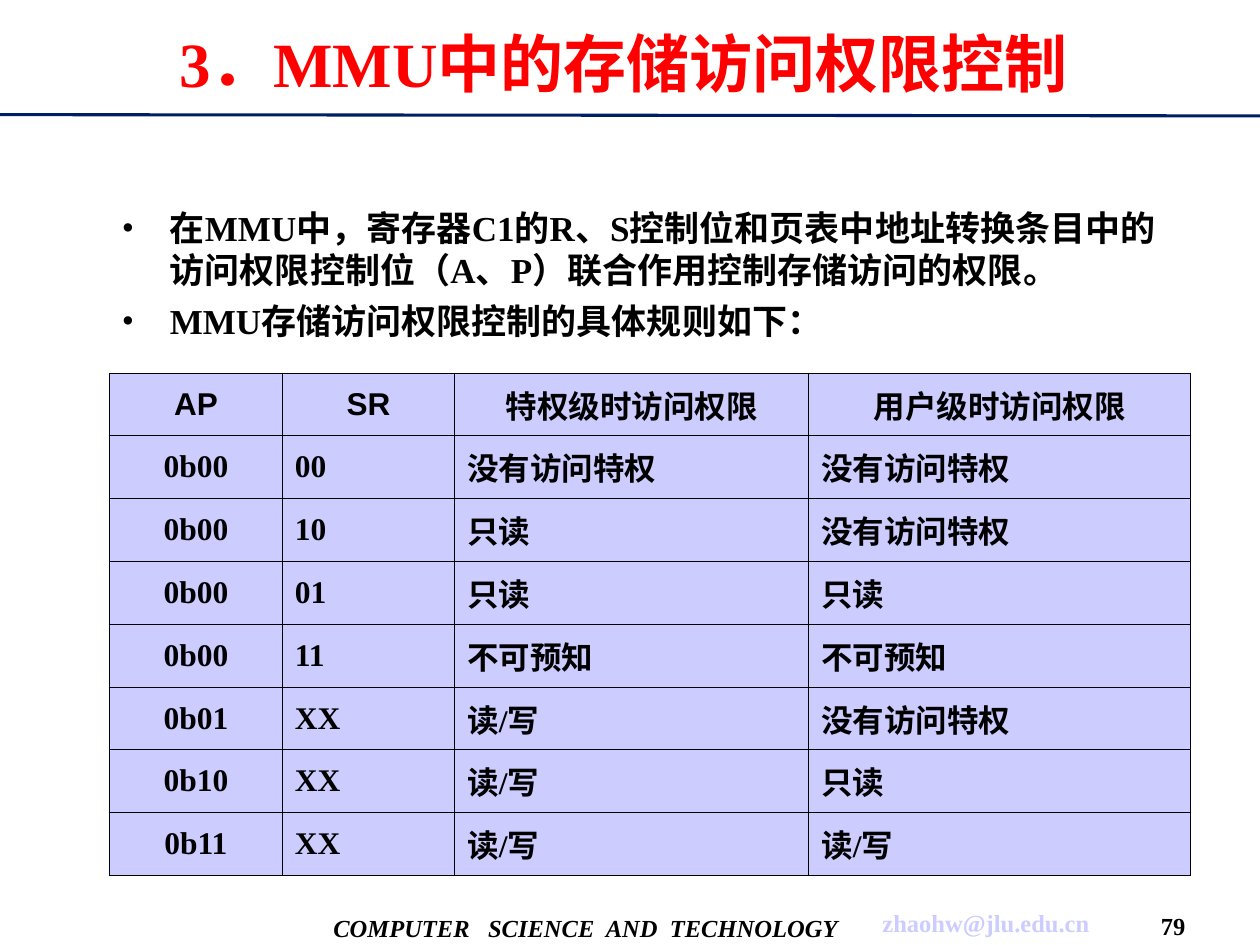
from dataclasses import dataclass

from lxml import etree
from pptx import Presentation
from pptx.dml.color import RGBColor
from pptx.enum.shapes import MSO_CONNECTOR
from pptx.enum.text import MSO_ANCHOR, MSO_AUTO_SIZE, PP_ALIGN
from pptx.oxml.ns import qn
from pptx.util import Inches, Pt

STRAIGHT = MSO_CONNECTOR.STRAIGHT
TOP, MIDDLE = MSO_ANCHOR.TOP, MSO_ANCHOR.MIDDLE
LEFT, CENTER = PP_ALIGN.LEFT, PP_ALIGN.CENTER
NO_AUTOFIT = MSO_AUTO_SIZE.NONE


@dataclass(frozen=True)
class Theme:
    """Colours, fonts and type sizes of the slide."""
    title: RGBColor = RGBColor(0xFF, 0x00, 0x00)
    text: RGBColor = RGBColor(0x00, 0x00, 0x00)
    rule: RGBColor = RGBColor(0x00, 0x1E, 0x64)
    pale: RGBColor = RGBColor(0xCC, 0xCC, 0xFF)
    serif: str = "Times New Roman"
    sans: str = "Arial"
    title_size: int = 36
    body_size: int = 20
    table_size: int = 18
    footer_size: int = 14
    rule_width: float = 1.75
    border_width: float = 0.45


THEME = Theme()

TITLE = "3．MMU中的存储访问权限控制 "
BULLETS = [
    "在MMU中，寄存器C1的R、S控制位和页表中地址转换条目中的访问权限控制位（A、P）联合作用控制存储访问的权限。",
    "MMU存储访问权限控制的具体规则如下：",
]
COLUMN_WIDTHS = [1.37, 1.37, 2.81, 3.03]
PERMISSIONS = [
    ["AP", "SR", "特权级时访问权限", "用户级时访问权限"],
    ["0b00", "00", "没有访问特权", "没有访问特权"],
    ["0b00", "10", "只读", "没有访问特权"],
    ["0b00", "01", "只读", "只读"],
    ["0b00", "11", "不可预知", "不可预知"],
    ["0b01", "XX", "读/写", "没有访问特权"],
    ["0b10", "XX", "读/写", "只读"],
    ["0b11", "XX", "读/写", "读/写"],
]
FOOTERS = [
    ("COMPUTER   SCIENCE  AND  TECHNOLOGY", (2.55, 7.15, 4.2, 0.42), THEME.text, True),
    ("zhaohw@jlu.edu.cn", (6.92, 7.14, 1.81, 0.36), THEME.pale, False),
    ("79", (9.09, 7.19, 0.44, 0.31), THEME.text, False),
]


def inches(box):
    """Turn a box of numbers into lengths."""
    return [Inches(value) for value in box]


def format_paragraph(paragraph, size, color=THEME.text, name=THEME.serif,
                     alignment=LEFT, italic=False):
    """Set the alignment and the bold font of a paragraph."""
    paragraph.alignment = alignment
    values = {"name": name, "size": Pt(size), "bold": True, "italic": italic}
    for attribute, value in values.items():
        setattr(paragraph.font, attribute, value)
    paragraph.font.color.rgb = color


def add_title(slide, box):
    """Place the title in its placeholder."""
    title = slide.shapes.title
    title.left, title.top, title.width, title.height = inches(box)
    frame = title.text_frame
    frame.text = TITLE
    frame.auto_size = NO_AUTOFIT
    frame.vertical_anchor = MIDDLE
    format_paragraph(frame.paragraphs[0], THEME.title_size, THEME.title, alignment=CENTER)


def add_rule(slide, ends):
    """Draw the line under the title."""
    rule = slide.shapes.add_connector(STRAIGHT, *inches(ends))
    rule.line.color.rgb = THEME.rule
    rule.line.width = Pt(THEME.rule_width)
    etree.SubElement(rule._element.spPr, qn("a:effectLst"))


def add_bullets(slide, box):
    """Place the bulleted introduction."""
    frame = slide.shapes.add_textbox(*inches(box)).text_frame
    frame.word_wrap = True
    frame.vertical_anchor = TOP
    frame.text = "\n".join(BULLETS)
    for index, paragraph in enumerate(frame.paragraphs):
        properties = paragraph._p.get_or_add_pPr()
        properties.set("marL", str(Inches(0.38)))
        properties.set("indent", str(Inches(-0.38)))
        etree.SubElement(properties, qn("a:buFont"), typeface=THEME.serif)
        etree.SubElement(properties, qn("a:buChar"), char="•")
        if index:
            paragraph.space_before = Pt(5)
        format_paragraph(paragraph, THEME.body_size)


def add_borders(cell):
    """Draw thin lines on the four sides of a cell."""
    properties = cell._tc.get_or_add_tcPr()
    for index, side in enumerate(("lnL", "lnR", "lnT", "lnB")):
        line = etree.Element(qn(f"a:{side}"), w=str(Pt(THEME.border_width)))
        fill = etree.SubElement(line, qn("a:solidFill"))
        etree.SubElement(fill, qn("a:srgbClr"), val=str(THEME.text))
        properties.insert(index, line)


def add_permission_table(slide, box):
    """Place the table of access permissions."""
    table = slide.shapes.add_table(len(PERMISSIONS), len(COLUMN_WIDTHS), *inches(box)).table
    table.first_row = table.horz_banding = False
    for column, width in zip(table.columns, COLUMN_WIDTHS):
        column.width = Inches(width)
    for row_index, values in enumerate(PERMISSIONS):
        for column_index, value in enumerate(values):
            cell = table.cell(row_index, column_index)
            cell.text = value
            cell.vertical_anchor = MIDDLE
            cell.fill.solid()
            cell.fill.fore_color.rgb = THEME.pale
            add_borders(cell)
            is_header = row_index == 0
            format_paragraph(
                cell.text_frame.paragraphs[0], THEME.table_size,
                name=THEME.sans if is_header else THEME.serif,
                alignment=CENTER if is_header or column_index == 0 else LEFT)


def add_footer(slide, text, box, color, italic):
    """Place one footer text on a single line."""
    frame = slide.shapes.add_textbox(*inches(box)).text_frame
    frame.word_wrap = False
    frame.margin_left = frame.margin_right = Inches(0)
    frame.vertical_anchor = MIDDLE
    frame.text = text
    format_paragraph(frame.paragraphs[0], THEME.footer_size, color,
                     alignment=CENTER, italic=italic)


def main():
    """Build and save the presentation."""
    presentation = Presentation()
    presentation.slide_width, presentation.slide_height = Inches(10), Inches(7.5)
    slide = presentation.slides.add_slide(presentation.slide_layouts.get_by_name("Title Only"))
    add_rule(slide, (0, 0.91, 10, 0.92))
    for footer in FOOTERS:
        add_footer(slide, *footer)
    add_title(slide, (0.32, 0.08, 9.37, 0.83))
    add_bullets(slide, (0.87, 1.59, 8.47, 1.28))
    add_permission_table(slide, (0.87, 2.96, 8.58, 3.99))
    presentation.save("out.pptx")


if __name__ == "__main__":
    main()
